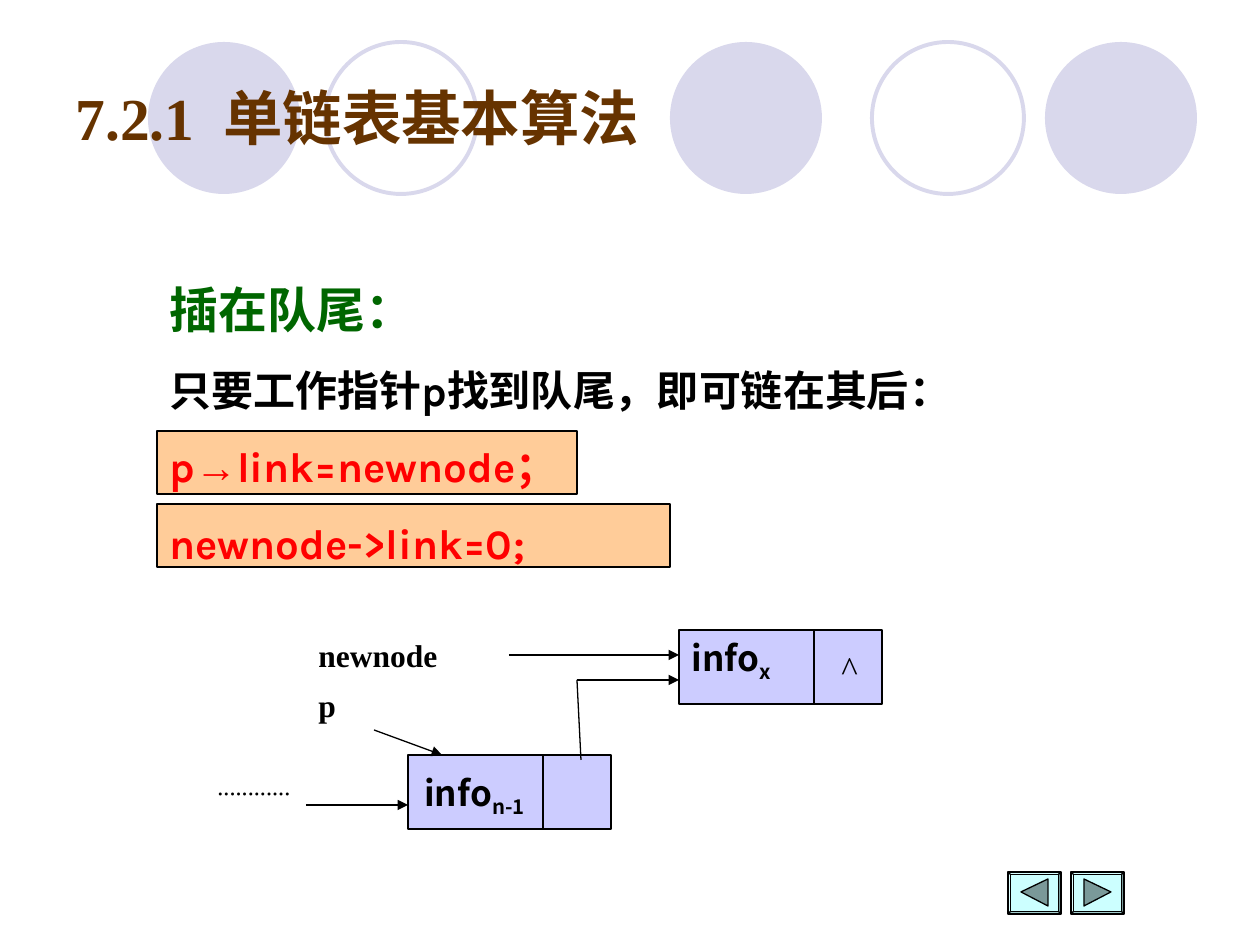
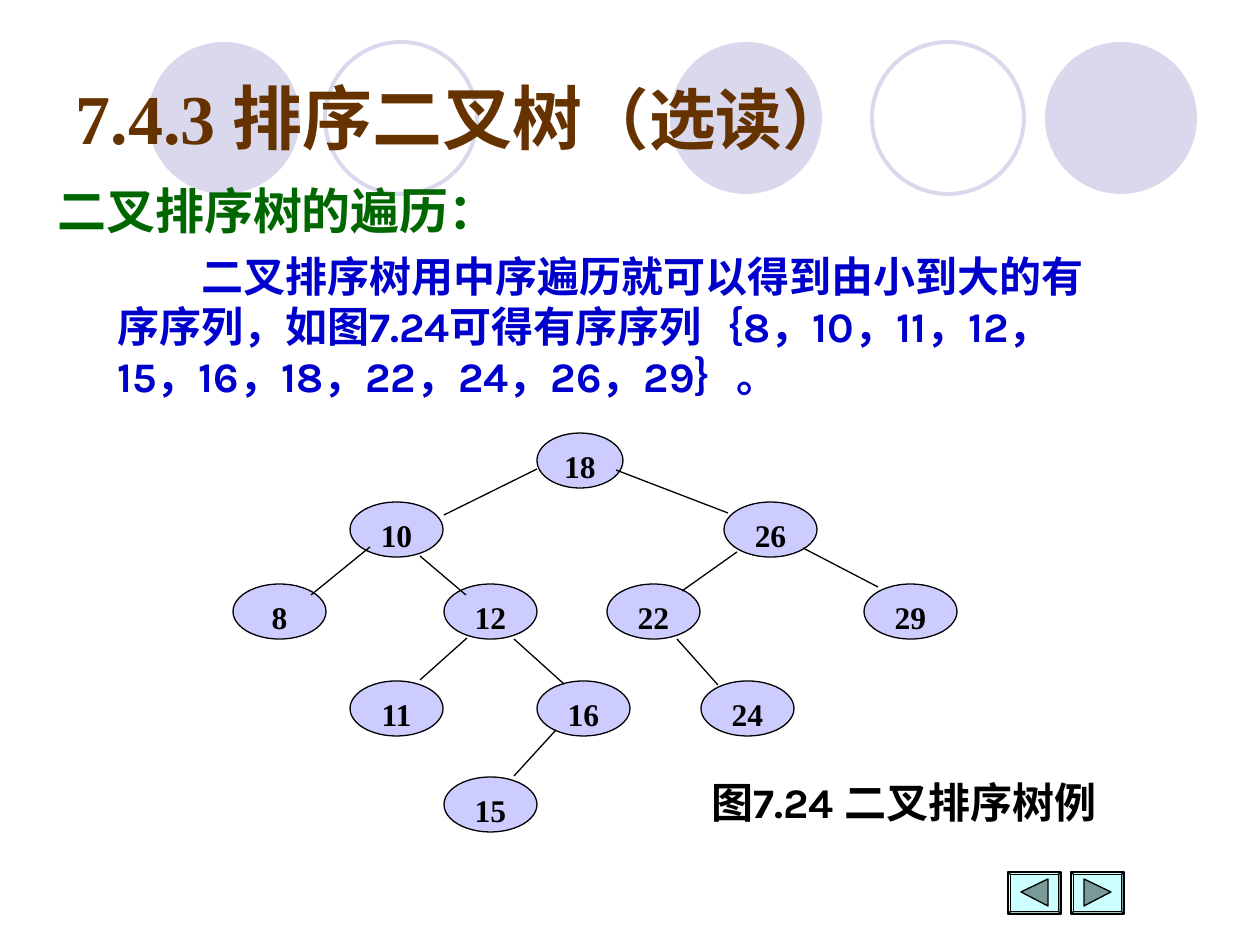
import pptx
import pptx.util
import pptx.dml.color
import pptx.enum.shapes
import pptx.enum.text
import pptx.oxml
import pptx.oxml.ns

PX = 914400 / 126
SHAPE = pptx.enum.shapes.MSO_SHAPE
SERIF, SANS, CJK, HEAD = "Times New Roman", "Karla", "Noto Sans CJK SC", "Arial"
COLORS = {
    "title": "663300",
    "heading": "006600",
    "ink": "000000",
    "code": "FF0000",
    "sequence": "0000CC",
    "circle": "D9D8EC",
    "code_box": "FFCC99",
    "node": "CCCCFF",
    "button": "CCFFFF",
    "arrow": "7A9999",
}


def px(value):
    return pptx.util.Emu(round(value * PX))


def color(name):
    return pptx.dml.color.RGBColor.from_string(COLORS[name])


def paint(shape, fill=None, line="ink", width=0.75):
    shape.shadow.inherit = False
    if fill:
        shape.fill.solid()
        shape.fill.fore_color.rgb = color(fill)
    else:
        shape.fill.background()
    if line:
        shape.line.color.rgb = color(line)
        shape.line.width = pptx.util.Pt(width)
    else:
        shape.line.fill.background()
    return shape


def add_box(slide, kind, area, fill=None, line="ink", width=0.75):
    shape = slide.shapes.add_shape(kind, *map(px, area))
    return paint(shape, fill, line, width)


def add_line(slide, start, end, arrow=False):
    connector = slide.shapes.add_connector(
        pptx.enum.shapes.MSO_CONNECTOR.STRAIGHT, *map(px, start + end))
    connector.line.color.rgb = color("ink")
    connector.line.width = pptx.util.Pt(0.75)
    properties = connector.element.spPr
    if arrow:
        outline = properties.find(pptx.oxml.ns.qn("a:ln"))
        outline.append(pptx.oxml.parse_xml(
            f'<a:tailEnd {pptx.oxml.ns.nsdecls("a")} type="triangle"/>'))
    properties.append(pptx.oxml.parse_xml(
        f'<a:effectLst {pptx.oxml.ns.nsdecls("a")}/>'))


def add_run(paragraph, text, font=SERIF, size=24, ink="ink", bold=True,
            baseline=0, tracking=0):
    run = paragraph.add_run()
    run.text = text
    run.font.name = font
    run.font.size = pptx.util.Pt(size)
    run.font.bold = bold
    run.font.color.rgb = color(ink)
    properties = run._r.get_or_add_rPr()
    if baseline:
        properties.set("baseline", str(baseline * 1000))
    if tracking:
        properties.set("spc", str(tracking * 100))
    east_asian = CJK if ord(max(text)) > 0x3000 else font
    properties.find(pptx.oxml.ns.qn("a:latin")).addnext(pptx.oxml.parse_xml(
        f'<a:ea {pptx.oxml.ns.nsdecls("a")} typeface="{east_asian}"/>'))


def write(paragraph, runs, leading=None, **style):
    paragraph.alignment = pptx.enum.text.PP_ALIGN.LEFT
    if leading:
        paragraph.line_spacing = pptx.util.Pt(leading)
    for text, font, *extra in runs:
        add_run(paragraph, text, font, **{**style, **(extra[0] if extra else {})})


def add_text(slide, area, runs, wrap=True, **style):
    frame = slide.shapes.add_textbox(*map(px, area)).text_frame
    frame.word_wrap = wrap
    write(frame.paragraphs[0], runs, **style)
    return frame


def add_circles(layout, slide):
    circles = [(670, True), (1045, True), (148, True), (872, False), (325, False)]
    for number, (left, filled) in enumerate(circles):
        look = ("circle", None) if filled else (None, "circle")
        circle = add_box(slide, SHAPE.OVAL, (left, 42, 152, 152), *look, 2.25)
        circle.element.nvSpPr.cNvPr.set("id", str(100 + number))
        layout.shapes.element.append(circle.element)


def add_title(slide, runs, size):
    title = slide.shapes.title
    title.left, title.top, title.width, title.height = map(px, (63, 38, 1134, 158))
    title.text_frame.vertical_anchor = pptx.enum.text.MSO_ANCHOR.MIDDLE
    write(title.text_frame.paragraphs[0], runs, size=size, ink="title")


def add_navigation(slide):
    for left, back in ((1008, True), (1071, False)):
        button = add_box(slide, SHAPE.BEVEL, (left, 872, 53, 42), "button")
        button.adjustments[0] = 0.06
        near, far = left + 13, left + 40
        tip, base = (near, far) if back else (far, near)
        builder = slide.shapes.build_freeform(tip, 892, scale=PX)
        builder.add_line_segments([(base, 879), (base, 906)], close=True)
        paint(builder.convert_to_shape(), "arrow")


def add_tree_node(slide, value, left, top):
    width = 86 if value == 18 else 93
    frame = add_box(slide, SHAPE.OVAL, (left, top, width, 55), "node").text_frame
    frame.word_wrap = False
    frame.vertical_anchor = pptx.enum.text.MSO_ANCHOR.TOP
    write(frame.paragraphs[0], [(str(value), SERIF)], size=18)
    frame.paragraphs[0].alignment = pptx.enum.text.PP_ALIGN.CENTER


def add_list_node(slide, left, top, label_area, subscript):
    add_box(slide, SHAPE.RECTANGLE, (left, top, 203, 74), "node")
    add_line(slide, (left + 135, top), (left + 135, top + 74))
    add_text(slide, label_area,
             [("info", CJK), (subscript, CJK, {"baseline": -25})], size=20)


def build_linked_list(slide):
    add_title(slide, [("7.2.1", SERIF), (" ", SERIF, {"tracking": 8}),
                      ("单链表基本算法", SERIF)], 34)
    for top, width in ((431, 420), (504, 513)):
        add_box(slide, SHAPE.RECTANGLE, (157, top, width, 63), "code_box")

    steps = add_text(slide, (157, 273, 977, 301), [("插在队尾：", SERIF)],
                     size=28, ink="heading", leading=33.6)
    lines = [
        ("ink", [("只要工作指针", SERIF), ("p", SANS),
                 ("找到队尾，即可链在其后：", SERIF)]),
        ("code", [("p", SANS), ("→", SERIF), ("link=newnode", SANS), ("；", SERIF)]),
        ("code", [("newnode->link=0;", SANS)]),
    ]
    for ink, runs in lines:
        paragraph = steps.add_paragraph()
        paragraph.space_before = pptx.util.Pt(15)
        write(paragraph, runs, ink=ink, leading=28.8)

    add_list_node(slide, 408, 755, (412, 765, 208, 60), "n-1")
    add_list_node(slide, 679, 630, (679, 630, 135, 74), "x")
    add_text(slide, (829, 640, 105, 55), [("^", SERIF)], size=20, bold=False)
    labels = [("newnode", (306, 630, 237, 74), 0), ("p", (306, 680, 102, 74), 0),
              ("············", (205, 755, 135, 74), -25)]
    for label, area, baseline in labels:
        add_text(slide, area, [(label, SERIF)], size=18, baseline=baseline)

    pointers = [((306, 805), (408, 805)), ((577, 680), (679, 680)),
                ((509, 655), (679, 655)), ((374, 730), (442, 755))]
    for start, end in pointers:
        add_line(slide, start, end, arrow=True)
    add_line(slide, (581, 760), (577, 680))


def build_search_tree(slide):
    add_title(slide, [("7.4.3 排序二叉树", SERIF), ("（选读）", SERIF, {"size": 38})], 40)
    add_text(slide, (45, 174, 465, 72), [("二叉排序树的遍历：", HEAD)],
             wrap=False, size=28, ink="heading", leading=33.6)

    nodes = {18: (537, 433), 10: (350, 502), 26: (724, 502), 8: (233, 584),
             12: (444, 584), 22: (607, 584), 29: (864, 584), 11: (350, 681),
             16: (537, 681), 24: (701, 681), 15: (444, 777)}
    sequence = [("二叉排序树用中序遍历就可以得到由小到大的有序序列，如图", SERIF),
                ("7.24", SANS), ("可得有序序列｛", SERIF)]
    for value in sorted(nodes):
        sequence += [(str(value), SANS), ("，", SERIF)]
    sequence[-1] = ("｝。", SERIF)
    frame = add_text(slide, (105, 244, 1029, 164), sequence,
                     ink="sequence", leading=28.8)
    frame.paragraphs[0]._p.get_or_add_pPr().set("indent", str(pptx.util.Pt(48)))

    for value, (left, top) in nodes.items():
        add_tree_node(slide, value, left, top)
    branches = [
        ((444, 515), (537, 469)), ((311, 595), (370, 547)),
        ((420, 680), (467, 638)), ((514, 776), (556, 730)),
        ((420, 556), (466, 595)), ((514, 639), (564, 684)),
        ((616, 470), (728, 513)), ((803, 548), (878, 587)),
        ((682, 591), (737, 552)), ((677, 639), (718, 685)),
    ]
    for start, end in branches:
        add_line(slide, start, end)
    add_text(slide, (699, 770, 456, 63),
             [("图", SERIF), ("7.24 ", SANS), ("二叉排序树例", SERIF)], leading=28.8)


def main():
    deck = pptx.Presentation()
    deck.slide_width, deck.slide_height = px(1260), px(945)
    layout = deck.slide_layouts[5]
    for number, build in enumerate((build_linked_list, build_search_tree)):
        slide = deck.slides.add_slide(layout)
        if number == 0:
            add_circles(layout, slide)
        build(slide)
        add_navigation(slide)
    deck.save("out.pptx")


if __name__ == "__main__":
    main()
